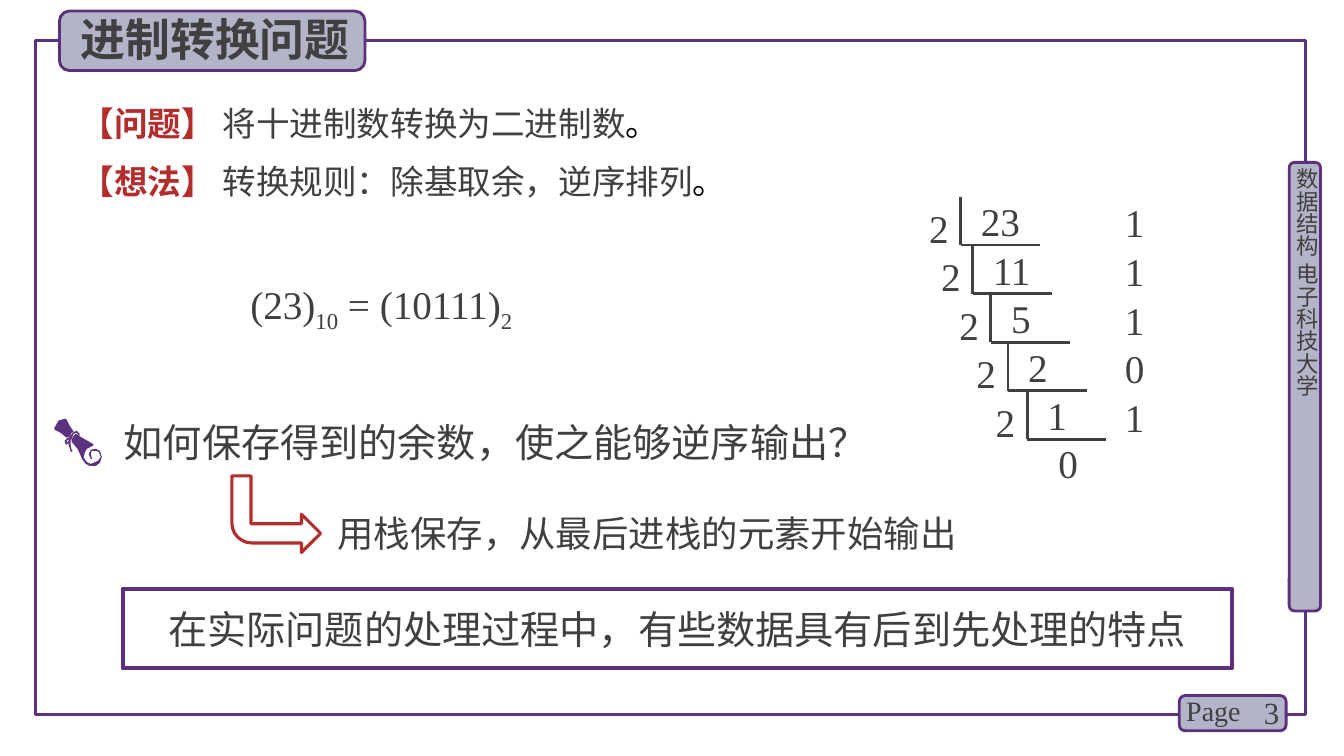
from lxml.etree import SubElement
from pptx import Presentation
from pptx.dml.color import RGBColor
from pptx.enum.shapes import MSO_CONNECTOR, MSO_SHAPE
from pptx.enum.text import MSO_ANCHOR, PP_ALIGN
from pptx.oxml.ns import qn
from pptx.util import Pt

COLORS = {"purple": "5C307D", "ink": "5A327D", "panel": "B4B4C8",
          "text": "404040", "red": "B42D2D", "black": "000000"}
SERIF, SANS = "Times New Roman", "Noto Sans CJK SC"
DIVISOR = "2"
DIVISION = [(0, "23", "1"), (8.6, "11", "1"), (21.6, "5", "1"), (33.8, "2", "0"), (47.5, "1", "1")]
SCROLL_HANDLE = [[(15, 18), (16, 19), (18, 14), (20, 13), (16, 7), (13, 1), (12, 0), (5, 2),
                  (1, 9), (1, 11), (7, 14), (13, 19)]]
SCROLL_BODY = [[(46, 32), (42, 30), (37, 31), (35, 35), (37, 40), (38, 40), (38, 39), (37, 35),
                (38, 32), (42, 32), (45, 33), (47, 38), (44, 42), (37, 45), (33, 43), (31, 40),
                (30, 39), (31, 34), (33, 30), (39, 27), (40, 26), (39, 25), (25, 17), (24, 16),
                (22, 15), (21, 16), (18, 20), (18, 23), (24, 30), (28, 39), (29, 41), (32, 45),
                (36, 47), (42, 47), (46, 44), (48, 38)]]
SCROLL_RIBBON = [[(18, 33), (17, 33), (17, 32), (15, 26), (15, 24), (13, 26), (12, 25), (11, 22),
                  (14, 19), (16, 19), (19, 14), (23, 12), (24, 13), (26, 15), (26, 17), (25, 17),
                  (24, 15), (23, 14), (20, 15), (18, 20), (17, 21), (17, 26), (18, 31), (19, 32)],
                 [(14, 21), (13, 23), (13, 24), (15, 22), (15, 21)]]


def paint(shape, fill=None, line=None, weight=2):
    """Set the fill and outline of a shape, each left out when None."""
    shape.shadow.inherit = False
    for part, color in ((shape.fill, fill), (shape.line.fill, line)):
        if color:
            part.solid()
            part.fore_color.rgb = RGBColor.from_string(COLORS[color])
        else:
            part.background()
    if line:
        shape.line.width = Pt(weight)
    return shape


def add_panel(page, kind, box, **style):
    """Add a preset shape in a box given in points."""
    return paint(page.shapes.add_shape(kind, *map(Pt, box)), **style)


def write(shape, pieces, size, font=SERIF, align=PP_ALIGN.LEFT, anchor=MSO_ANCHOR.TOP, inset=True):
    """Write (text, format) pieces as the runs of one paragraph."""
    frame = shape.text_frame
    frame.word_wrap = True
    frame.vertical_anchor = anchor
    frame.margin_left = frame.margin_right = Pt(7.2 if inset else 0)
    frame.margin_top = frame.margin_bottom = Pt(3.6 if inset else 0)
    para = frame.paragraphs[0]
    para.alignment = align
    for text, style in pieces:
        span = para.add_run()
        span.text = text
        span.font.size = Pt(size)
        span.font.name = font
        span.font.bold = style.get("bold", False)
        span.font.color.rgb = RGBColor.from_string(COLORS[style.get("color", "text")])
        properties = span.font._element
        SubElement(properties, qn("a:ea")).set("typeface", SANS)
        if "baseline" in style:
            properties.set("baseline", style["baseline"])
    return para


def add_text(page, box, pieces, size, **style):
    """Add a text box holding one paragraph."""
    if isinstance(pieces, str):
        pieces = [(pieces, {})]
    shape = page.shapes.add_textbox(*map(Pt, box))
    return shape, write(shape, pieces, size, **style)


def add_rule(page, start, end):
    """Add a straight dark line between two points."""
    rule = page.shapes.add_connector(MSO_CONNECTOR.STRAIGHT, *map(Pt, start + end))
    rule.line.width = Pt(2)
    rule.line.color.rgb = RGBColor.from_string(COLORS["text"])
    SubElement(rule._element.spPr, qn("a:effectLst"))


def add_frame(page, box):
    """Draw the page border with the course tab and the page number."""
    left, top, width, height = box
    right, bottom = left + width, top + height
    tab = dict(fill="panel", line="purple")
    add_panel(page, MSO_SHAPE.RECTANGLE, box, line="ink", weight=2.25)
    add_panel(page, MSO_SHAPE.ROUNDED_RECTANGLE, (right - 11.5, top + 87.2, 22.4, 320.4), **tab)
    course, _ = add_text(page, (right - 8.6, top + 91.4, 19.4, 310), "数据结构 电子科技大学", 16,
                         font=SANS, anchor=MSO_ANCHOR.MIDDLE, inset=False)
    course.text_frame._txBody.bodyPr.set("vert", "eaVert")
    add_panel(page, MSO_SHAPE.ROUNDED_RECTANGLE, (right - 90, bottom - 13.7, 76.3, 25.2), **tab)
    add_text(page, (right - 54, bottom - 16.5, 42.5, 28.8), "3", 22,
             align=PP_ALIGN.RIGHT, anchor=MSO_ANCHOR.MIDDLE)
    add_text(page, (right - 92.2, bottom - 18.7, 56.2, 31.7), "Page", 20)


def add_title(page, box):
    """Draw the title panel and bring the title placeholder in front of it."""
    left, top, width, height = box
    add_panel(page, MSO_SHAPE.ROUNDED_RECTANGLE, box, fill="panel", line="purple")
    title = page.shapes.title
    title.left, title.top = Pt(left + 7.9), Pt(top - 2.9)
    title.width, title.height = Pt(width - 2.9), Pt(height + 3.6)
    write(title, [("进制转换问题", {"bold": True})], 32, font=SANS)
    page.shapes._spTree.append(title._element)


def add_statement(page, box):
    """Write the problem, the idea and the worked result."""
    left, top, width, _ = box
    lines = [("【问题】 ", "将十进制数转换为二进制数"), ("【想法】 ", "转换规则：除基取余，逆序排列")]
    for row, (label, body) in enumerate(lines):
        pieces = [(label, {"bold": True, "color": "red"}), (body, {}), ("。", {"color": "black"})]
        _, para = add_text(page, (left, top + 40.3 * row, width, 37), pieces, 24)
    para.line_spacing = Pt(30)
    low, normal = {"baseline": "-25000"}, {}
    add_text(page, (left + 89.4, top + 130.2, 265, 34),
             [("(23)", normal), ("10", low), (" = (10111)", normal), ("2", low)], 28,
             align=PP_ALIGN.CENTER, inset=False)


def add_division(page, box):
    """Draw the ladder of divisions by two with its remainders."""
    left, top, width, height = box
    step = height / len(DIVISION)
    cell = (39.6, 34)
    for row, (shift, dividend, remainder) in enumerate(DIVISION):
        x, y = left + 48.2 + shift, top + step * row
        add_rule(page, (x, y), (x, y + step - 0.7))
        add_rule(page, (x, y + step - 0.7), (x + 56.5, y + step - 0.7))
        add_text(page, (x - 48.2, y + 4.7, *cell), DIVISOR, 28, align=PP_ALIGN.RIGHT, inset=False)
        add_text(page, (x + 14.4, y, *cell), dividend, 28, inset=False)
        add_text(page, (left + width - 39.6, y + 1, *cell), remainder, 28, inset=False)
    add_text(page, (left + 118, top + height - 1, *cell), "0", 28, inset=False)


def add_scroll(page, box):
    """Draw the rolled scroll from its handle, body and ribbon."""
    left, top, width, _ = box
    for outlines in (SCROLL_HANDLE, SCROLL_BODY, SCROLL_RIBBON):
        builder = page.shapes.build_freeform(*outlines[0][0], scale=Pt(width) / 48)
        for index, outline in enumerate(outlines):
            if index:
                builder.move_to(*outline[0])
            builder.add_line_segments(outline[1:], close=True)
        paint(builder.convert_to_shape(Pt(left), Pt(top)), fill="ink")


def add_question(page, box):
    """Write the question, and the answer that its arrow points to."""
    left, top, width, height = box
    add_scroll(page, (left, top + 3.8, 34.56, 34))
    add_text(page, (left + 43.2, top, width - 43.2, 41), "如何保存得到的余数，使之能够逆序输出？", 28)
    arrow = add_panel(page, MSO_SHAPE.BENT_ARROW, (left + 127.4, top + 44.8, 63.4, 54.7),
                      line="red", weight=2.25)
    arrow.adjustments[3] = 0.261
    arrow._element.spPr.find(qn("a:xfrm")).set("flipV", "1")
    add_text(page, (left + 195.8, top + height - 39, 646, 39), "用栈保存，从最后进栈的元素开始输出", 26)


def add_conclusion(page, box):
    """Write the conclusion in its outlined panel."""
    panel = add_panel(page, MSO_SHAPE.RECTANGLE, box, line="purple", weight=3)
    write(panel, [("在实际问题的处理过程中，有些数据具有后到先处理的特点", {})], 28, font=SANS,
          align=PP_ALIGN.CENTER, anchor=MSO_ANCHOR.MIDDLE)


def main():
    """Build the slide and save the deck."""
    deck = Presentation()
    deck.slide_width, deck.slide_height = Pt(960), Pt(540)
    page = deck.slides.add_slide(deck.slide_layouts[5])
    add_frame(page, (25.2, 28.8, 907.2, 481.7))
    add_title(page, (42.5, 7.9, 218.2, 42.5))
    add_statement(page, (50.4, 69.8, 822, 165))
    add_division(page, (638, 141, 205.1, 173.5))
    add_question(page, (38.2, 295.2, 880, 105.3))
    add_conclusion(page, (87.8, 420.5, 792, 56.9))
    deck.save("out.pptx")


if __name__ == "__main__":
    main()
